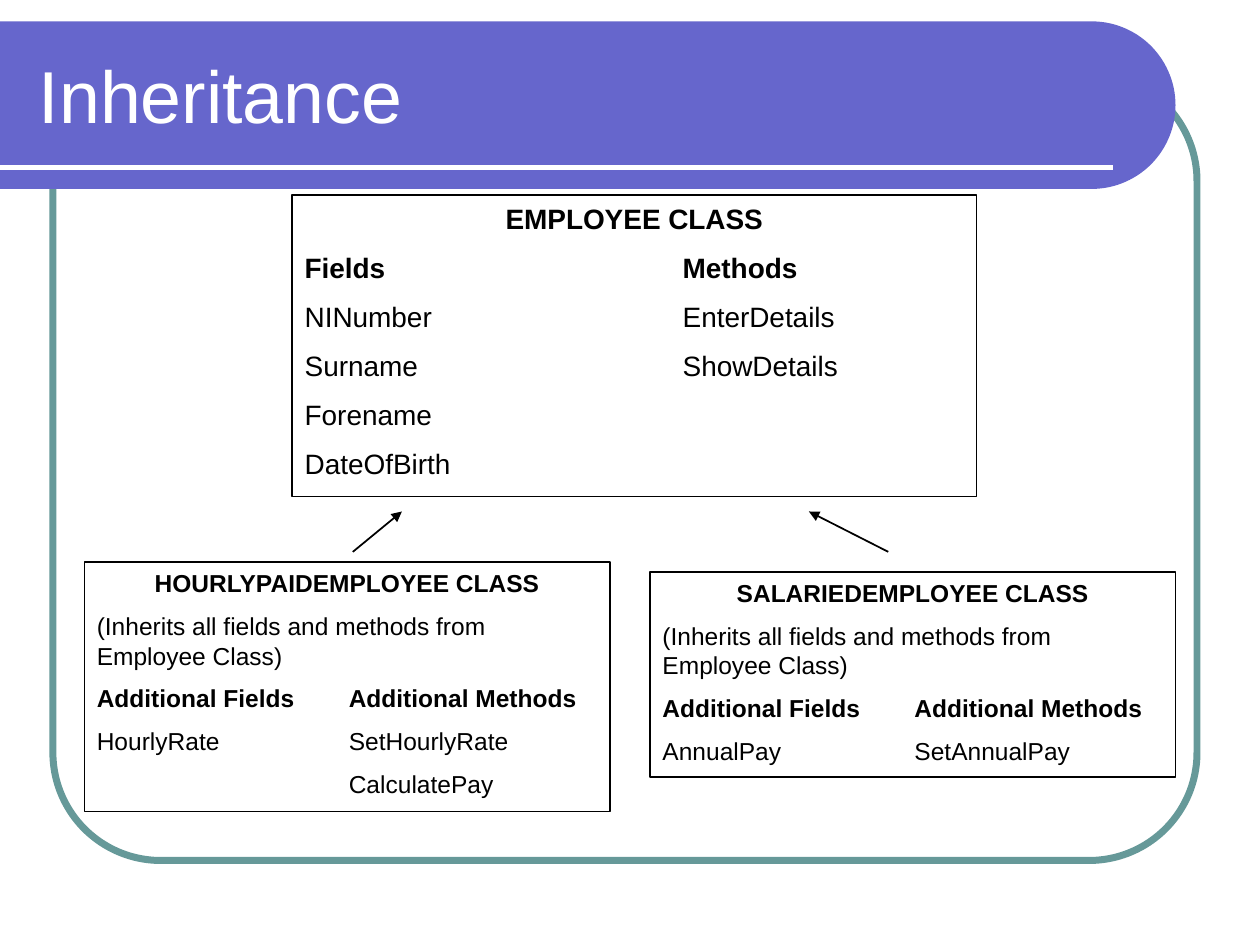
from dataclasses import dataclass
from math import cos, pi, sin
from typing import Any

from lxml.etree import SubElement
from pptx import Presentation
from pptx.dml.color import RGBColor
from pptx.enum.shapes import MSO_CONNECTOR, MSO_SHAPE
from pptx.enum.text import MSO_ANCHOR, PP_ALIGN
from pptx.oxml.ns import qn
from pptx.util import Inches, Pt

SLIDE_WIDTH, SLIDE_HEIGHT = Inches(10), Inches(7.5)


@dataclass(frozen=True)
class Theme:
    font: str = "Arial"
    ink: str = "000000"
    paper: str = "FFFFFF"
    band: str = "6666CC"
    frame: str = "669999"
    title_size: int = 42
    parent_size: int = 16
    child_size: int = 14
    paragraph_gap: float = 0.55  # share of the type size


THEME = Theme()


@dataclass(frozen=True)
class Region:
    """A rectangle in percent of the slide's width and height."""
    left: float
    top: float
    width: float
    height: float

    def box(self) -> tuple[int, int, int, int]:
        return (across(self.left), down(self.top),
                across(self.width), down(self.height))


@dataclass(frozen=True)
class Line:
    """A straight line between two points in percent of the slide."""
    start: tuple[float, float]
    end: tuple[float, float]
    color: str = THEME.ink
    width: float = 1
    arrow: bool = False


@dataclass(frozen=True)
class ClassBox:
    region: Region
    size: int
    methods_column: float  # inches from the text's left edge
    heading: str
    rows: tuple[str, ...]
    bold_row: int


def across(percent: float) -> int:
    return round(SLIDE_WIDTH * percent / 100)


def down(percent: float) -> int:
    return round(SLIDE_HEIGHT * percent / 100)


def apply_format(target: Any, values: dict[str, Any]) -> None:
    for name, value in values.items():
        setattr(target, name, value)


def write(paragraph: Any, text: str, size: int, color: str, bold: bool = False) -> None:
    run = paragraph.add_run()
    run.text = text
    apply_format(run.font, {"name": THEME.font, "size": Pt(size), "bold": bold})
    run.font.color.rgb = RGBColor.from_string(color)


def outline(shape: Any, color: str, width: float) -> None:
    shape.line.color.rgb = RGBColor.from_string(color)
    shape.line.width = Pt(width)


def draw_outlined(slide: Any, kind: MSO_SHAPE, region: Region, color: str, width: float) -> Any:
    shape = slide.shapes.add_shape(kind, *region.box())
    shape.shadow.inherit = False
    shape.fill.background()
    outline(shape, color, width)
    return shape


def draw_line(slide: Any, line: Line) -> None:
    connector = slide.shapes.add_connector(
        MSO_CONNECTOR.STRAIGHT, across(line.start[0]), down(line.start[1]),
        across(line.end[0]), down(line.end[1]))
    outline(connector, line.color, line.width)
    properties = connector.line._get_or_add_ln()
    if line.arrow:
        SubElement(properties, qn("a:tailEnd"), type="triangle", w="med", len="med")
    SubElement(properties.getparent(), qn("a:effectLst"))


def draw_band(slide: Any, region: Region) -> None:
    """Draw a flat-left band whose right end is a half circle."""
    left, top, width, height = region.box()
    radius = height / 2
    center_x, center_y = left + width - radius, top + radius
    steps = 60
    angles = [pi * step / steps - pi / 2 for step in range(steps + 1)]
    arc = [(round(center_x + radius * cos(angle)), round(center_y + radius * sin(angle)))
           for angle in angles]
    builder = slide.shapes.build_freeform(left, top)
    builder.add_line_segments([*arc, (left, top + height)], close=True)
    band = builder.convert_to_shape()
    band.shadow.inherit = False
    band.fill.solid()
    band.fill.fore_color.rgb = RGBColor.from_string(THEME.band)
    band.line.fill.background()


def draw_title(slide: Any, region: Region, text: str) -> None:
    frame = slide.shapes.add_textbox(*region.box()).text_frame
    apply_format(frame, {"word_wrap": True, "vertical_anchor": MSO_ANCHOR.MIDDLE})
    write(frame.paragraphs[0], text, THEME.title_size, THEME.paper)


def set_tab(paragraph: Any, inches: float) -> None:
    tabs = SubElement(paragraph._p.get_or_add_pPr(), qn("a:tabLst"))
    SubElement(tabs, qn("a:tab"), pos=str(Inches(inches)), algn="l")


def draw_class(slide: Any, item: ClassBox) -> None:
    shape = draw_outlined(slide, MSO_SHAPE.RECTANGLE, item.region, THEME.ink, 1)
    frame = shape.text_frame
    apply_format(frame, {"word_wrap": True, "vertical_anchor": MSO_ANCHOR.TOP})
    heading = frame.paragraphs[0]
    heading.alignment = PP_ALIGN.CENTER
    write(heading, item.heading, item.size, THEME.ink, bold=True)
    for index, text in enumerate(item.rows):
        paragraph = frame.add_paragraph()
        apply_format(paragraph, {"alignment": PP_ALIGN.LEFT,
                                 "space_before": Pt(item.size * THEME.paragraph_gap)})
        if "\t" in text:
            set_tab(paragraph, item.methods_column)
        write(paragraph, text, item.size, THEME.ink, bold=index == item.bold_row)


INHERITS = "(Inherits all fields and methods from Employee Class)"
ADDITIONS = "Additional Fields\tAdditional Methods"

CLASSES = (
    ClassBox(Region(23.2, 20.67, 54.3, 31.87), THEME.parent_size, 3, "EMPLOYEE CLASS",
             ("Fields\tMethods", "NINumber\tEnterDetails", "Surname\tShowDetails",
              "Forename", "DateOfBirth"), bold_row=0),
    ClassBox(Region(6.7, 59.47, 41.7, 26.4), THEME.child_size, 2, "HOURLYPAIDEMPLOYEE CLASS",
             (INHERITS, ADDITIONS, "HourlyRate\tSetHourlyRate", "\tCalculatePay"), bold_row=2 - 1),
    ClassBox(Region(51.6, 60.53, 41.7, 21.73), THEME.child_size, 2, "SALARIEDEMPLOYEE CLASS",
             (INHERITS, ADDITIONS, "AnnualPay\tSetAnnualPay"), bold_row=1),
)

ARROWS = (
    Line((28, 58.4), (31.9, 54.13), arrow=True),
    Line((70.5, 58.4), (64.2, 54.13), arrow=True),
)


def main() -> None:
    presentation = Presentation()
    apply_format(presentation, {"slide_width": SLIDE_WIDTH, "slide_height": SLIDE_HEIGHT})
    slide = presentation.slides.add_slide(presentation.slide_layouts[6])

    # Frame, title band and rule
    frame = draw_outlined(slide, MSO_SHAPE.ROUNDED_RECTANGLE,
                          Region(4.2, 7.73, 90.8, 83.33), THEME.frame, 4)
    frame.adjustments[0] = 0.137
    draw_band(slide, Region(0, 2.27, 93.3, 17.73))
    draw_line(slide, Line((0, 17.73), (88.3, 17.73), THEME.paper, 3))
    draw_title(slide, Region(2.1, 3.33, 87.7, 13.33), "Inheritance")

    # Class diagram
    for item in CLASSES:
        draw_class(slide, item)
    for arrow in ARROWS:
        draw_line(slide, arrow)

    presentation.save("out.pptx")


if __name__ == "__main__":
    main()
